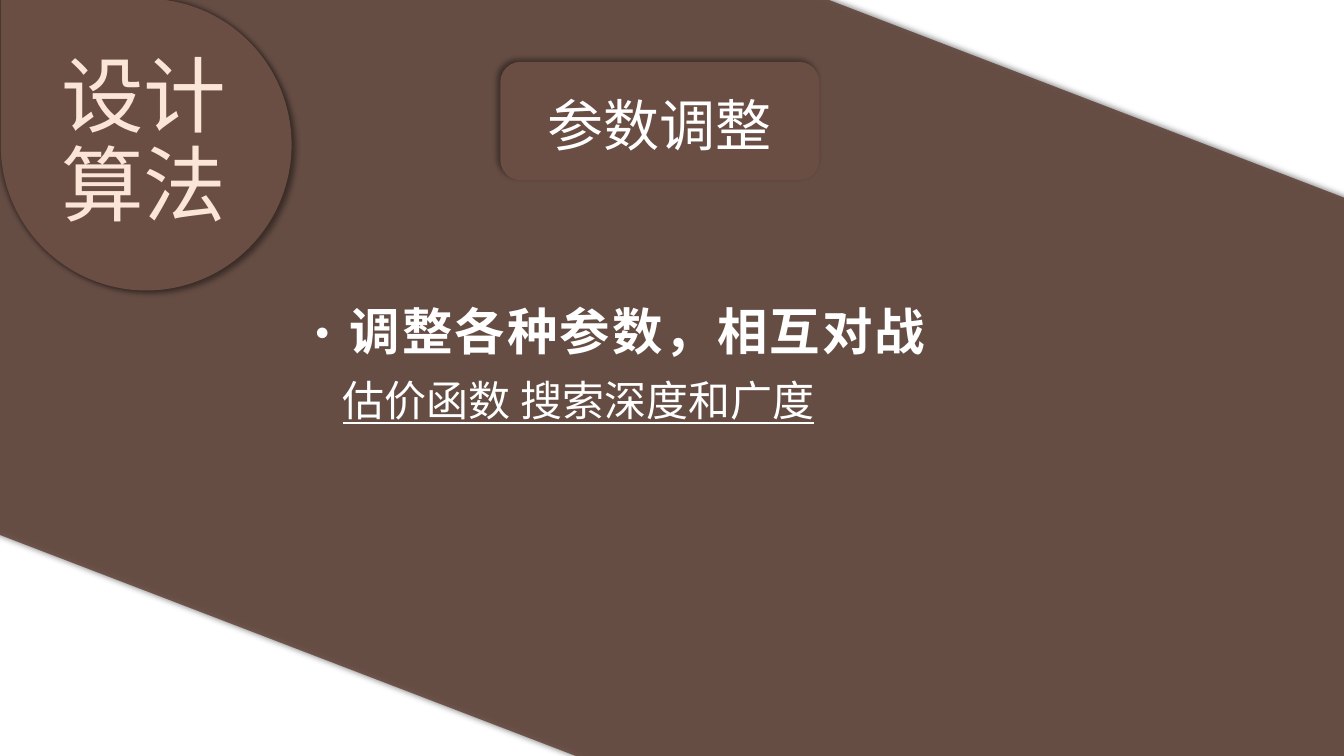
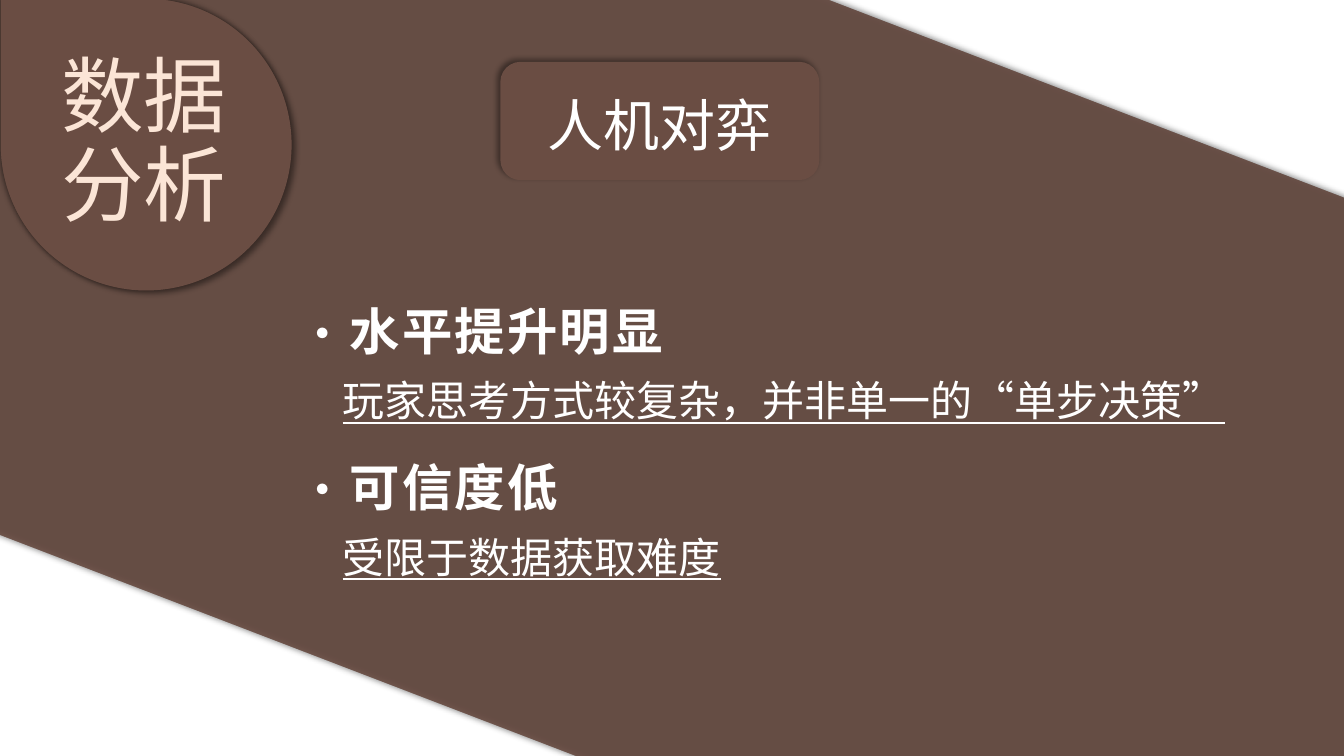
from lxml import etree
from pptx import Presentation
from pptx import util as u
from pptx.dml import color
from pptx.enum import shapes, text
from pptx.oxml import ns, parse_xml

WIDE, HIGH = u.Inches(13.33), u.Inches(7.5)
FONT = "Noto Sans CJK SC"
BROWN, CREAM, WHITE = "6A4D43", "FBE5D6", "FFFFFF"
FORM = shapes.MSO_SHAPE
MID = text.MSO_ANCHOR.MIDDLE


def place(x, y, w, h):
    return [int(WIDE * x / 100), int(HIGH * y / 100), int(WIDE * w / 100), int(HIGH * h / 100)]


def write(box, words, size, tint=WHITE, bold=False, line=False, lead=1.0,
          track=0, dot=None, side=text.PP_ALIGN.LEFT, hold=text.MSO_ANCHOR.TOP):
    frame = box.text_frame
    frame.word_wrap = True
    frame.vertical_anchor = hold
    para = frame.paragraphs[0]
    para.alignment = side
    para.line_spacing = lead
    run = para.add_run()
    run.text = words
    font = run.font
    font.name, font.size, font.bold, font.underline = FONT, u.Pt(size), bold, line
    font.color.rgb = color.RGBColor.from_string(tint)
    props = run._r.get_or_add_rPr()
    props.set("lang", "zh-CN")
    if track:
        props.set("spc", str(int(track * 100)))
    etree.SubElement(props, ns.qn("a:ea")).set("typeface", FONT)
    if dot:
        style = para._p.get_or_add_pPr()
        inset = int(u.Pt(size + track))
        style.set("marL", str(inset))
        style.set("indent", str(-inset))
        etree.SubElement(style, ns.qn("a:buFont")).set("typeface", FONT)
        etree.SubElement(style, ns.qn("a:buChar")).set("char", dot)


band = place(-10.13, -4.93, 118.15, 105.33)
drop = place(0.08, 0, 21.6, 38.27)
plate = place(37.28, 8.27, 23.63, 15.47)

decor = [
    (FORM.ROUND_2_DIAG_RECTANGLE, band, 21, 70, 45),
    (FORM.ROUND_2_DIAG_RECTANGLE, band, 21, 70, 225),
    (FORM.TEAR, drop, 270, 100, 225),
    (FORM.TEAR, drop, 270, 100, 45),
    (FORM.ROUNDED_RECTANGLE, plate, 0, 100, 225),
]

pages = [
    ("设计算法", "参数调整", [
        ("调整各种参数，相互对战", "估价函数 搜索深度和广度"),
    ]),
    ("数据分析", "人机对弈", [
        ("水平提升明显", "玩家思考方式较复杂，并非单一的“单步决策”"),
        ("可信度低", "受限于数据获取难度"),
    ]),
]

deck = Presentation()
deck.slide_width, deck.slide_height = WIDE, HIGH

for title, topic, points in pages:
    slide = deck.slides.add_slide(deck.slide_layouts[6])

    for kind, spot, turn, solid, angle in decor:
        shape = slide.shapes.add_shape(kind, *spot)
        shape.rotation = turn
        shape.fill.solid()
        shape.fill.fore_color.rgb = color.RGBColor.from_string(BROWN)
        if solid < 100:
            shape.adjustments[0] = 0
            shape.line.fill.background()
            tone = shape.fill._xPr.find(".//" + ns.qn("a:srgbClr"))
            etree.SubElement(tone, ns.qn("a:alpha")).set("val", str(solid * 1000))
        else:
            shape.line.color.rgb = color.RGBColor.from_string(BROWN)
            shape.line.width = u.Pt(1)
        shape.shadow.inherit = False
        glow = shape._element.spPr.find(ns.qn("a:effectLst"))
        glow.append(parse_xml(
            f'<a:outerShdw {ns.nsdecls("a")} blurRad="{u.Pt(4)}" dist="{u.Pt(3)}" '
            f'dir="{angle * 60000}" algn="ctr" rotWithShape="0">'
            '<a:srgbClr val="000000"><a:alpha val="40000"/></a:srgbClr></a:outerShdw>'))

    write(shape, topic, 40, lead=1.1, side=text.PP_ALIGN.CENTER, hold=MID)
    write(slide.shapes.add_textbox(*place(3.83, 14.4, 16.8, 9.47)),
          title, 59, tint=CREAM, lead=0.9, hold=MID)

    for row, (head, note) in enumerate(points):
        drift = row * 20.67
        write(slide.shapes.add_textbox(*place(21.38, 39.07 + drift, 58.29, 9.47)),
              head, 36, bold=True, track=1.5, dot="·")
        write(slide.shapes.add_textbox(*place(24.76, 48.93 + drift, 71.34, 8)),
              note, 30, line=True)

deck.save("out.pptx")
